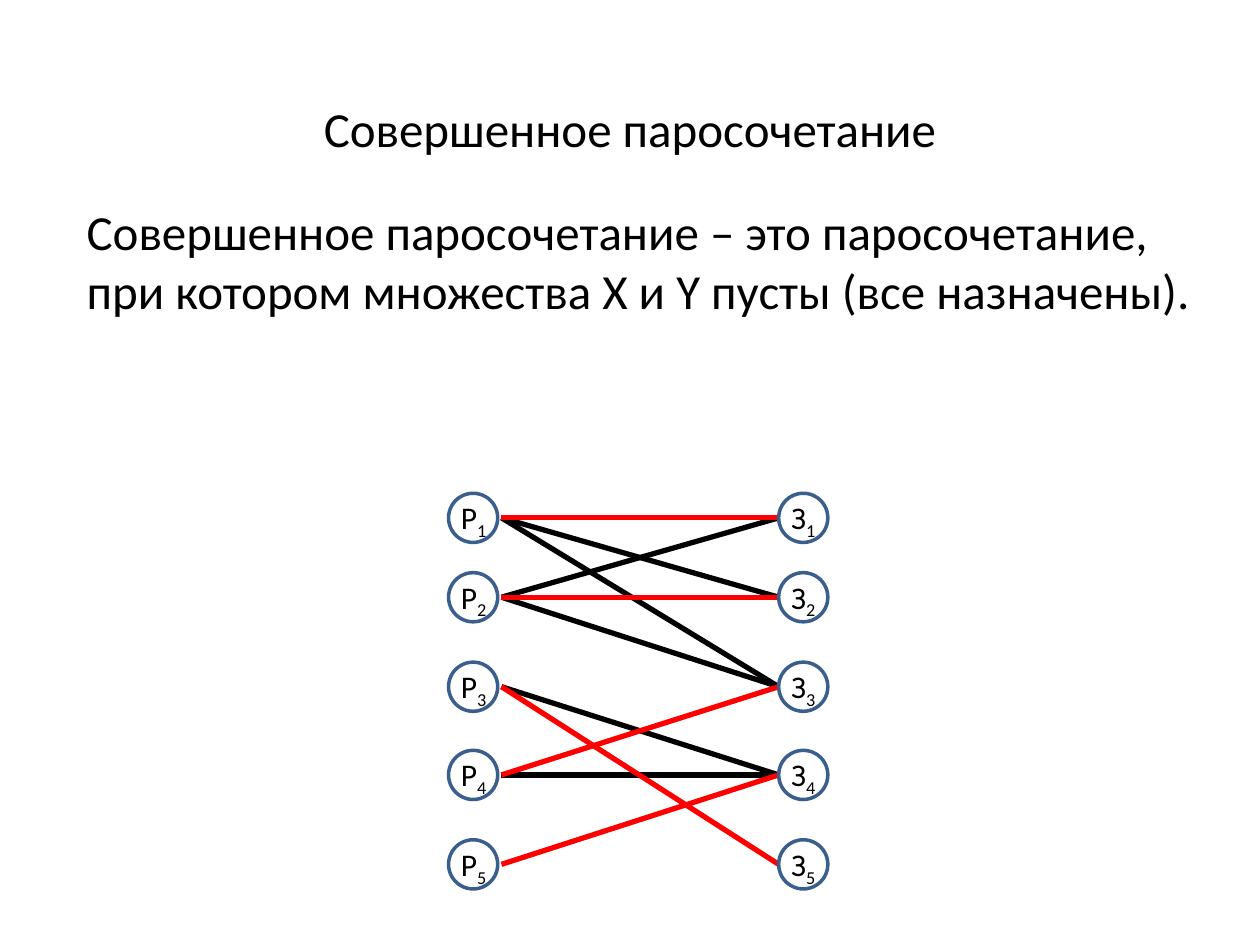
from lxml.etree import SubElement
from pptx import Presentation
from pptx.dml.color import RGBColor
from pptx.enum.shapes import MSO_CONNECTOR as Connector, MSO_SHAPE as Shape
from pptx.enum.text import MSO_ANCHOR as Anchor, MSO_AUTO_SIZE as AutoSize, PP_ALIGN as Align
from pptx.oxml.ns import qn
from pptx.util import Inches, Pt

BLACK = RGBColor(0x00, 0x00, 0x00)
WHITE = RGBColor(0xFF, 0xFF, 0xFF)
RED = RGBColor(0xFF, 0x00, 0x00)
BLUE = RGBColor(0x3A, 0x5F, 0x8C)
FONT = "Calibri"

DIAMETER = 0.39
WORKER_LEFT, TASK_LEFT = 3.56, 6.18
EDGE_START = 3.98
ROW_CENTERS = [4.11, 4.74, 5.45, 6.15, 6.86]

# Pairs of worker number and task number
OTHER_EDGES = [(3, 4), (4, 4), (1, 2), (1, 3), (2, 1), (2, 3)]
MATCHING = [(1, 1), (2, 2), (3, 5), (4, 3), (5, 4)]


def add_span(para, text, size):
    span = para.add_run()
    span.text = text
    span.font.name = FONT
    span.font.size = Pt(size)
    span.font.color.rgb = BLACK
    return span


def add_text_box(page, left, top, width, height, wrap=True):
    """Add an empty text box and return its text frame."""
    box = page.shapes.add_textbox(Inches(left), Inches(top), Inches(width), Inches(height))
    frame = box.text_frame
    frame.word_wrap = wrap
    return frame


def add_title(page, text):
    frame = add_text_box(page, 0.75, 0.21, 8.5, 1.61)
    frame.vertical_anchor = Anchor.MIDDLE
    para = frame.paragraphs[0]
    para.alignment = Align.CENTER
    add_span(para, text, 28)


def add_definition(page, text):
    frame = add_text_box(page, 0.59, 1.55, 9.06, 1.04)
    frame.auto_size = AutoSize.SHAPE_TO_FIT_TEXT
    add_span(frame.paragraphs[0], text, 28)


def add_edge(page, worker, task, color):
    edge = page.shapes.add_connector(
        Connector.STRAIGHT,
        Inches(EDGE_START), Inches(ROW_CENTERS[worker - 1]),
        Inches(TASK_LEFT), Inches(ROW_CENTERS[task - 1]),
    )
    edge.line.color.rgb = color
    edge.line.width = Pt(3)
    SubElement(edge._element.spPr, qn("a:effectLst"))


def add_node(page, left, center, letter, number, label_width):
    """Draw a circle labelled with a letter and a subscript number."""
    top = center - DIAMETER / 2
    circle = page.shapes.add_shape(
        Shape.OVAL, Inches(left), Inches(top), Inches(DIAMETER), Inches(DIAMETER))
    circle.shadow.inherit = False
    circle.fill.solid()
    circle.fill.fore_color.rgb = WHITE
    circle.line.color.rgb = BLUE
    circle.line.width = Pt(2)

    frame = add_text_box(page, left, top - 0.01, label_width, 0.4, wrap=False)
    frame.auto_size = AutoSize.SHAPE_TO_FIT_TEXT
    para = frame.paragraphs[0]
    add_span(para, letter, 18)
    subscript = add_span(para, str(number), 18)
    subscript._r.get_or_add_rPr().set("baseline", "-25000")


def main():
    deck = Presentation()
    deck.slide_width, deck.slide_height = Inches(10), Inches(7.5)
    page = deck.slides.add_slide(deck.slide_layouts[6])

    add_definition(page, "Совершенное паросочетание – это паросочетание, "
                         "при котором множества X и Y пусты (все назначены).")
    for edges, color in ((OTHER_EDGES, BLACK), (MATCHING, RED)):
        for worker, task in edges:
            add_edge(page, worker, task, color)
    for left, letter, label_width in ((WORKER_LEFT, "Р", 0.42), (TASK_LEFT, "З", 0.41)):
        for number, center in enumerate(ROW_CENTERS, start=1):
            add_node(page, left, center, letter, number, label_width)
    add_title(page, "Совершенное паросочетание")

    deck.save("out.pptx")


if __name__ == "__main__":
    main()
